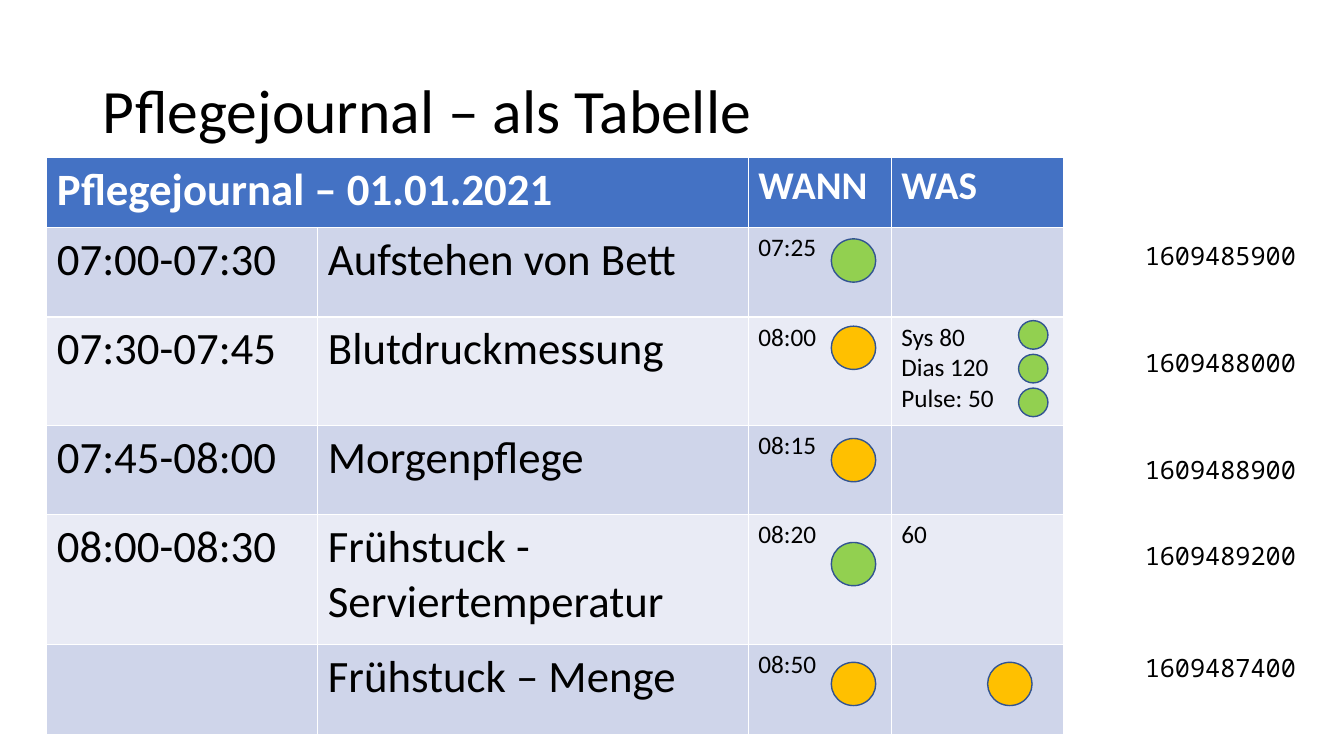
from itertools import accumulate

from pptx import Presentation
from pptx.dml.color import RGBColor
from pptx.enum.shapes import MSO_SHAPE
from pptx.enum.text import MSO_ANCHOR, MSO_AUTO_SIZE, PP_ALIGN
from pptx.util import Cm, Pt

OVAL = MSO_SHAPE.OVAL
LEFT = PP_ALIGN.LEFT
MIDDLE = MSO_ANCHOR.MIDDLE
FIT_SHAPE = MSO_AUTO_SIZE.SHAPE_TO_FIT_TEXT
TITLE_ONLY = 5

COLORS = {
    "text": "000000", "header_text": "FFFFFF", "header": "4472C4",
    "odd_row": "CFD5EA", "even_row": "E9EBF5",
    "green": "92D050", "orange": "FFC000", "outline": "325491",
}
COLUMN_WIDTHS = [6.83, 10.85, 3.6, 4.35]
ROW_HEIGHTS = [1.77, 2.25, 2.73, 2.25, 3.28, 2.25]
HEADER = [("Pflegejournal – 01.01.2021", 32), ("", 32), ("WANN", 28), ("WAS", 28)]
ENTRIES = [
    ("07:00-07:30", "Aufstehen von Bett", "07:25", ""),
    ("07:30-07:45", "Blutdruckmessung", "08:00", "Sys 80\vDias 120\nPulse: 50"),
    ("07:45-08:00", "Morgenpflege", "08:15", ""),
    ("08:00-08:30", "Frühstuck - Serviertemperatur", "08:20", "60"),
    ("", "Frühstuck – Menge", "08:50", ""),
]
ENTRY_SIZES = [32, 32, 18, 18]
WHEN_DOTS = [("green", 0.28), ("orange", 0.23), ("orange", 0.33),
             ("green", 0.7), ("orange", 0.44)]
TIMESTAMPS = [("1609485900", 0.2), ("1609488000", 0.65), ("1609488900", 0.61),
              ("1609489200", 0.52), ("1609487400", 0.06)]


def color(name):
    """Return the named colour."""
    return RGBColor.from_string(COLORS[name])


def write_text(frame, text, size=18, font="Calibri", fill="text", bold=False,
               align=LEFT, spacing=None):
    """Fill a text frame and format all of its runs."""
    frame.text = text
    for paragraph in frame.paragraphs:
        paragraph.alignment = align
        paragraph.line_spacing = spacing
        for run in paragraph.runs:
            run.font.size = Pt(size)
            run.font.name = font
            run.font.bold = bold
            run.font.color.rgb = color(fill)


def add_title(slide, left, top, width, height):
    """Place and format the title placeholder."""
    title = slide.shapes.title
    title.left, title.top = Cm(left), Cm(top)
    title.width, title.height = Cm(width), Cm(height)
    title.text_frame.vertical_anchor = MIDDLE
    write_text(title.text_frame, "Pflegejournal – als Tabelle", size=44, spacing=0.9)


def fill_cell(cell, text, size, background, **text_format):
    """Give a table cell its background and text."""
    cell.fill.solid()
    cell.fill.fore_color.rgb = color(background)
    write_text(cell.text_frame, text, size=size, **text_format)


def add_journal(slide, left, top):
    """Add the care journal table."""
    table = slide.shapes.add_table(
        len(ROW_HEIGHTS), len(COLUMN_WIDTHS), Cm(left), Cm(top),
        Cm(sum(COLUMN_WIDTHS)), Cm(sum(ROW_HEIGHTS))).table
    for column, width in zip(table.columns, COLUMN_WIDTHS):
        column.width = Cm(width)
    for row, height in zip(table.rows, ROW_HEIGHTS):
        row.height = Cm(height)
    for index, (text, size) in enumerate(HEADER):
        fill_cell(table.cell(0, index), text, size, "header",
                  fill="header_text", bold=True)
    table.cell(0, 0).merge(table.cell(0, 1))
    for row_index, entry in enumerate(ENTRIES, start=1):
        background = "odd_row" if row_index % 2 else "even_row"
        for index, (text, size) in enumerate(zip(entry, ENTRY_SIZES)):
            fill_cell(table.cell(row_index, index), text, size, background)


def add_dot(slide, left, top, fill, width=1.12, height=1.09):
    """Add one status dot."""
    dot = slide.shapes.add_shape(OVAL, Cm(left), Cm(top), Cm(width), Cm(height))
    dot.shadow.inherit = False
    dot.fill.solid()
    dot.fill.fore_color.rgb = color(fill)
    dot.line.color.rgb = color("outline")
    dot.line.width = Pt(1)


def add_status_dots(slide, left, row_tops):
    """Add the dots of the WANN and WAS columns."""
    when_left = left + sum(COLUMN_WIDTHS[:2])
    what_left = left + sum(COLUMN_WIDTHS[:3])
    for row_top, (fill, offset) in zip(row_tops, WHEN_DOTS):
        add_dot(slide, when_left + 2.09, row_top + offset, fill)
    for index in range(3):
        add_dot(slide, what_left + 3.21, row_tops[1] + 0.09 + index * 0.85,
                "green", width=0.74, height=0.72)
    add_dot(slide, what_left + 2.43, row_tops[-1] + 0.44, "orange")


def add_timestamps(slide, left, row_tops, width, height):
    """Add the Unix time beside each journal row."""
    for row_top, (text, offset) in zip(row_tops, TIMESTAMPS):
        box = slide.shapes.add_textbox(Cm(left), Cm(row_top + offset),
                                       Cm(width), Cm(height))
        box.text_frame.word_wrap = False
        box.text_frame.auto_size = FIT_SHAPE
        write_text(box.text_frame, text, font="Noto Sans Mono")


def main():
    """Build and save the presentation."""
    presentation = Presentation()
    presentation.slide_width, presentation.slide_height = Cm(33.87), Cm(19.05)
    slide = presentation.slides.add_slide(presentation.slide_layouts[TITLE_ONLY])
    left, top = 1.18, 3.97
    row_tops = list(accumulate(ROW_HEIGHTS[:-1], initial=top))[1:]
    add_title(slide, 2.34, 1.02, 29.21, 3.68)
    add_journal(slide, left, top)
    add_status_dots(slide, left, row_tops)
    add_timestamps(slide, 28.6, row_tops, 4.34, 1.02)
    presentation.save("out.pptx")


if __name__ == "__main__":
    main()
